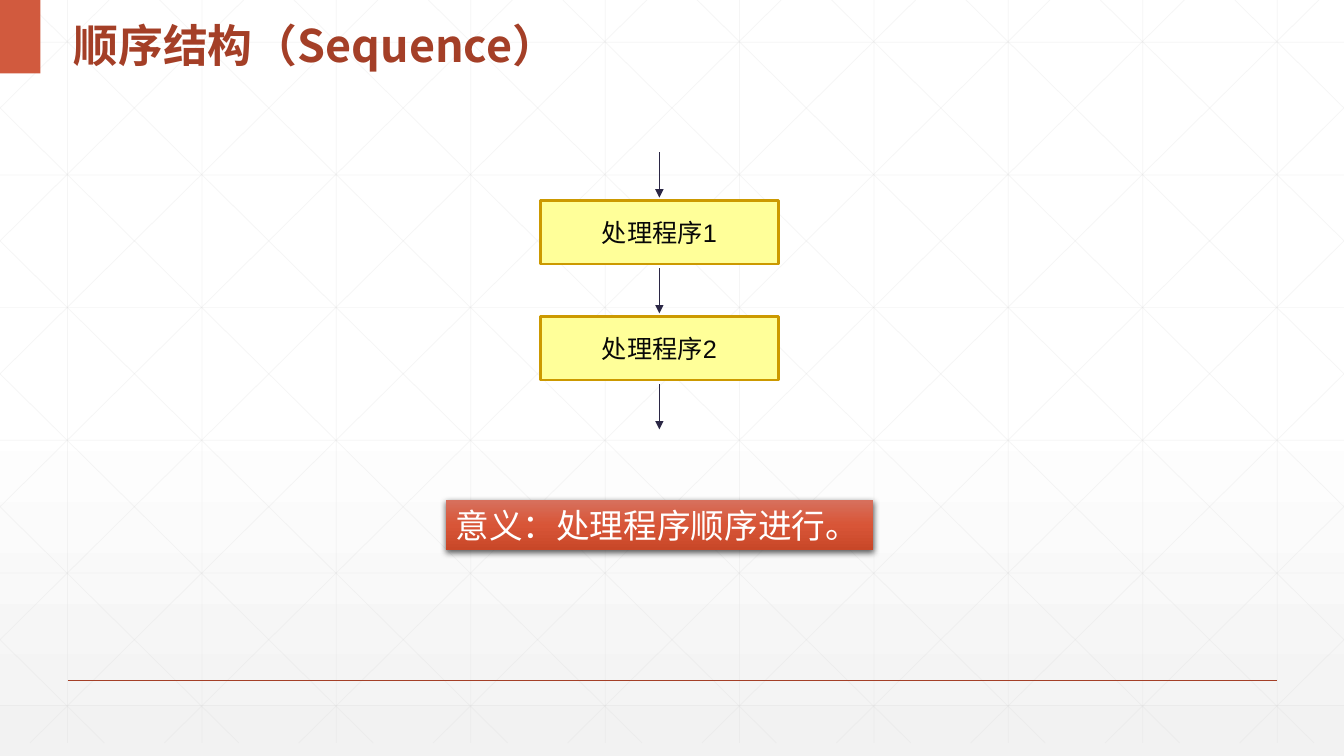
from dataclasses import dataclass

from lxml.etree import SubElement
from pptx import Presentation
from pptx.dml.color import RGBColor
from pptx.enum.shapes import MSO_CONNECTOR, MSO_SHAPE
from pptx.enum.text import MSO_ANCHOR as Anchor, PP_ALIGN as Align
from pptx.oxml.ns import qn
from pptx.util import Inches, Pt

WIDTH, HEIGHT = 13.33, 7.5
GRID_BOTTOM = 7.37
GRID_STEP = 1.333
GRID_ROW_STEP = 1.316
DIAGONAL_START = 0.25
DIAGONAL_RUN = 7.45
CJK_FONT = "Noto Sans CJK SC"
FLOW_CENTER = 6.54
FLOW_STEP = 1.15


@dataclass(frozen=True)
class Line:
    x1: float
    y1: float
    x2: float
    y2: float


@dataclass(frozen=True)
class Box:
    left: float
    top: float
    width: float
    height: float


def color(value: str) -> RGBColor:
    return RGBColor.from_string(value)


def draw_line(slide, line: Line, stroke: str, weight: float = 1,
              alpha: int = 100, arrow: bool = False) -> None:
    connector = slide.shapes.add_connector(
        MSO_CONNECTOR.STRAIGHT,
        *(Inches(value) for value in (line.x1, line.y1, line.x2, line.y2)))
    connector.line.color.rgb = color(stroke)
    connector.line.width = Pt(weight)
    properties = connector._element.spPr
    if alpha < 100:
        stroke_color = properties.xpath(".//a:srgbClr")[0]
        SubElement(stroke_color, qn("a:alpha"), val=str(alpha * 1000))
    if arrow:
        SubElement(connector.line._get_or_add_ln(), qn("a:tailEnd"), type="triangle")
    SubElement(properties, qn("a:effectLst"))


def draw_box(slide, box: Box, fill: str | None = None, border: str | None = None):
    shape = slide.shapes.add_shape(
        MSO_SHAPE.RECTANGLE,
        *(Inches(value) for value in (box.left, box.top, box.width, box.height)))
    shape.shadow.inherit = False
    if fill:
        shape.fill.solid()
        shape.fill.fore_color.rgb = color(fill)
    if border:
        shape.line.color.rgb = color(border)
        shape.line.width = Pt(2)
    else:
        shape.line.fill.background()
    return shape


def set_gradient(fill, owner, stops: list[tuple[int, str]]) -> None:
    fill.gradient()
    fill.gradient_angle = 270
    stop_list = owner.xpath(".//a:gsLst")[0]
    for stop in list(stop_list):
        stop_list.remove(stop)
    for position, value in stops:
        stop = SubElement(stop_list, qn("a:gs"), pos=str(position * 1000))
        SubElement(stop, qn("a:srgbClr"), val=value)


def add_shadow(shape) -> None:
    effects = shape._element.spPr.find(qn("a:effectLst"))
    shadow = SubElement(effects, qn("a:outerShdw"), blurRad=str(Pt(4.5)),
                        dist=str(Pt(1.5)), dir="5400000", rotWithShape="0")
    shadow_color = SubElement(shadow, qn("a:srgbClr"), val="000000")
    SubElement(shadow_color, qn("a:alpha"), val="63000")


def write_text(shape, text: str, *, size: float, ink: str, font: str = "Arial",
               bold: bool = False, align: Align = Align.LEFT,
               anchor: Anchor = Anchor.MIDDLE, spacing: float = 1.0,
               wrap: bool = True) -> None:
    frame = shape.text_frame
    frame.word_wrap = wrap
    frame.vertical_anchor = anchor
    paragraph = frame.paragraphs[0]
    paragraph.alignment = align
    paragraph.line_spacing = spacing
    run = paragraph.add_run()
    run.text = text
    run.font.size = Pt(size)
    run.font.bold = bold
    run.font.name = font
    run.font.color.rgb = color(ink)
    SubElement(run.font._element, qn("a:ea"), typeface=CJK_FONT)


def falling_diagonal(start: float) -> Line:
    slope = GRID_BOTTOM / DIAGONAL_RUN
    left = max(start, 0)
    right = min(start + DIAGONAL_RUN, WIDTH)
    return Line(left, (left - start) * slope, right, (right - start) * slope)


def mirrored(line: Line) -> Line:
    return Line(WIDTH - line.x1, line.y1, WIDTH - line.x2, line.y2)


def grid_lines() -> list[Line]:
    columns = [0.67 + GRID_STEP * index for index in range(10)]
    rows = [0.42 + GRID_ROW_STEP * index for index in range(6)]
    diagonals = [falling_diagonal(DIAGONAL_START + GRID_STEP * index)
                 for index in range(-5, 10)]
    return ([Line(x, 0, x, GRID_BOTTOM) for x in columns]
            + [Line(0, y, WIDTH, y) for y in rows]
            + diagonals
            + [mirrored(line) for line in diagonals])


def draw_backdrop(slide) -> None:
    set_gradient(slide.background.fill, slide.element,
                 [(0, "FFFFFF"), (53, "FFFFFF"), (100, "F2F2F2")])
    for line in grid_lines():
        draw_line(slide, line, "D9D9D9", weight=0.5, alpha=25)
    draw_line(slide, Line(0.67, 6.75, 12.67, 6.75), "A43F27")
    draw_box(slide, Box(0, 0, 0.4, 0.73), "D15A3E")


def draw_title(slide) -> None:
    title = slide.shapes.add_textbox(Inches(0.63), 0, Inches(5.69), Inches(0.73))
    write_text(title, "顺序结构（Sequence）", size=32, ink="A43F27",
               font=CJK_FONT, bold=True, spacing=1.3)


def draw_flow(slide) -> None:
    for index, label in enumerate(("处理程序1", "处理程序2")):
        step = draw_box(slide, Box(5.36, 1.99 + FLOW_STEP * index, 2.36, 0.63),
                        "FFFF99", "CC9900")
        write_text(step, label, size=18, ink="080808", align=Align.CENTER)
    for index in range(3):
        top = 1.51 + FLOW_STEP * index
        draw_line(slide, Line(FLOW_CENTER, top, FLOW_CENTER, top + 0.45),
                  "2B2745", arrow=True)


def draw_meaning(slide) -> None:
    meaning = draw_box(slide, Box(4.42, 4.96, 4.24, 0.5))
    set_gradient(meaning.fill, meaning._element,
                 [(0, "D7705D"), (50, "D85537"), (100, "C84728")])
    add_shadow(meaning)
    write_text(meaning, "意义：处理程序顺序进行。", size=24, ink="FFFFFF",
               anchor=Anchor.TOP, wrap=False)


def main() -> None:
    presentation = Presentation()
    presentation.slide_width = Inches(WIDTH)
    presentation.slide_height = Inches(HEIGHT)
    slide = presentation.slides.add_slide(presentation.slide_layouts[6])
    draw_backdrop(slide)
    draw_title(slide)
    draw_flow(slide)
    draw_meaning(slide)
    presentation.save("out.pptx")


if __name__ == "__main__":
    main()
